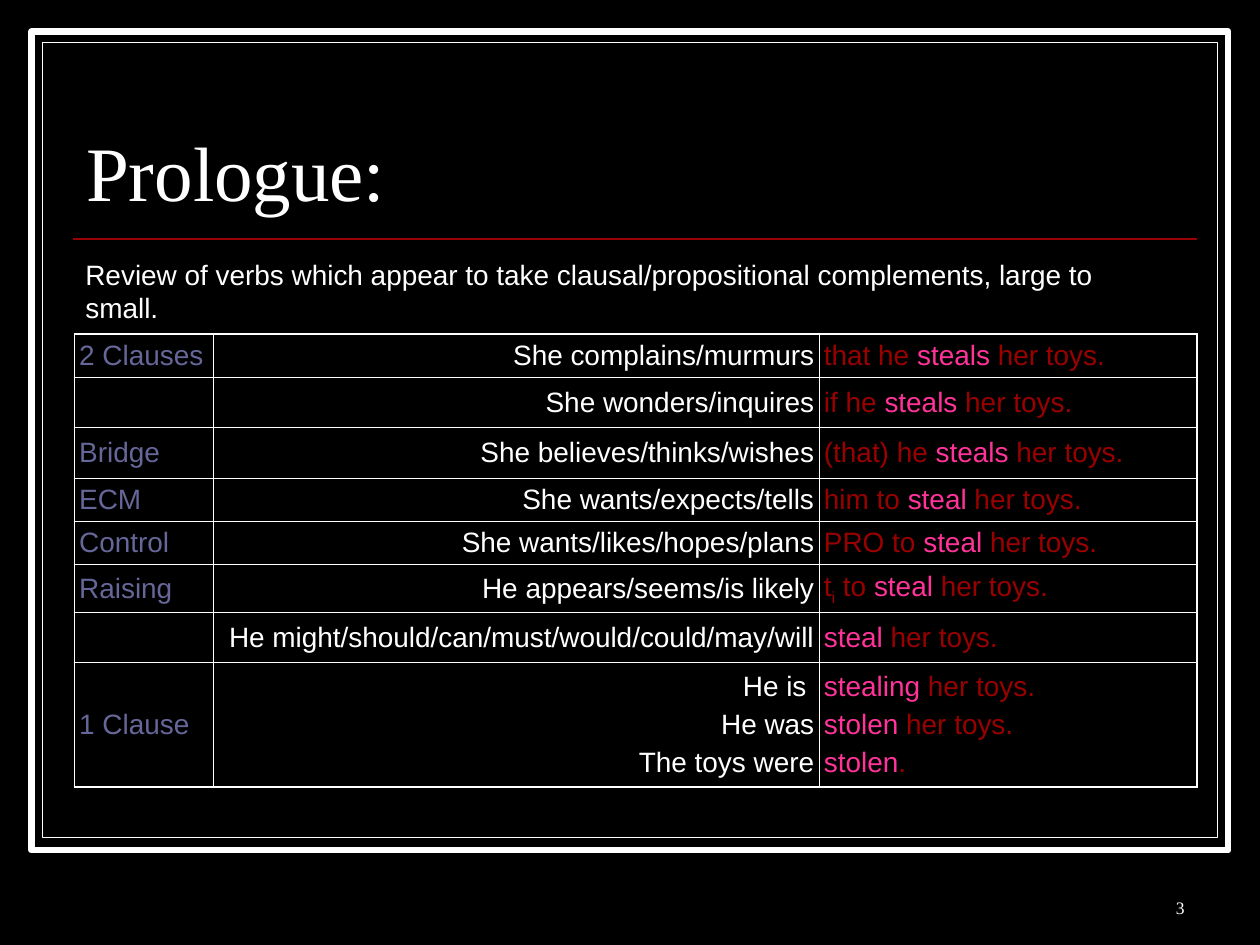
from lxml.etree import SubElement
from pptx import Presentation
from pptx.dml.color import RGBColor
from pptx.enum.shapes import MSO_CONNECTOR, MSO_SHAPE
from pptx.enum.text import MSO_ANCHOR, MSO_AUTO_SIZE, PP_ALIGN
from pptx.oxml.ns import qn
from pptx.util import Pt

COLORS = {
    "ground": "000000",
    "text": "FFFFFF",
    "label": "666699",
    "clause": "990000",
    "verb": "FF3399",
}
COLUMN_WIDTHS = [79.3, 346.3, 216]
ROW_HEIGHTS = [25, 27.5, 29, 24.5, 25, 27.5, 27.5, 71]
INNER_LINE, OUTER_LINE = 0.45, 1.08


def color(name):
    """Return the named colour."""
    return RGBColor.from_string(COLORS[name])


def style_run(run, size, font, color_name):
    """Give a run its size, typeface and colour."""
    run.font.size = Pt(size)
    run.font.name = font
    run.font.color.rgb = color(color_name)


def complement(lead, verb, tail=" her toys."):
    """Return the coloured pieces of a complement with its verb marked."""
    pieces = [(lead, "clause"), (verb, "verb"), (tail, "clause")]
    return [piece for piece in pieces if piece[0]]


def add_frame(slide, left, top, width, height, weight):
    """Add one rectangle of the double frame."""
    frame = slide.shapes.add_shape(
        MSO_SHAPE.RECTANGLE, Pt(left), Pt(top), Pt(width), Pt(height))
    frame.shadow.inherit = False
    frame.fill.solid()
    frame.fill.fore_color.rgb = color("ground")
    frame.line.color.rgb = color("text")
    frame.line.width = Pt(weight)


def add_rule(slide, left, right, top):
    """Add the red rule under the title."""
    rule = slide.shapes.add_connector(
        MSO_CONNECTOR.STRAIGHT, Pt(left), Pt(top), Pt(right), Pt(top))
    rule.line.color.rgb = color("clause")
    rule.line.width = Pt(1)
    SubElement(rule.element.spPr, qn("a:effectLst"))


def set_title(slide, text):
    """Place and format the title, in front of the frame."""
    title = slide.shapes.title
    slide.shapes.element.append(title.element)
    title.left, title.top, title.width, title.height = (
        Pt(42), Pt(37.5), Pt(642), Pt(90))
    frame = title.text_frame
    frame.text = text
    frame.auto_size = MSO_AUTO_SIZE.NONE
    frame.vertical_anchor = MSO_ANCHOR.BOTTOM
    heading = frame.paragraphs[0]
    heading.alignment = PP_ALIGN.LEFT
    heading.line_spacing = 0.8
    style_run(heading.runs[0], 44, "Times New Roman", "text")


def add_text(slide, text, box, size, font, align, anchor, wrap):
    """Add a one-line text box."""
    frame = slide.shapes.add_textbox(*map(Pt, box)).text_frame
    frame.text = text
    frame.word_wrap = wrap
    frame.vertical_anchor = anchor
    frame.paragraphs[0].alignment = align
    style_run(frame.paragraphs[0].runs[0], size, font, "text")


def set_borders(cell, weights):
    """Draw the left, right, top and bottom borders of a cell."""
    properties = cell._tc.get_or_add_tcPr()
    for position, (side, weight) in enumerate(zip("LRTB", weights)):
        border = properties.makeelement(
            qn(f"a:ln{side}"), {"w": str(int(Pt(weight)))})
        fill = SubElement(border, qn("a:solidFill"))
        SubElement(fill, qn("a:srgbClr"), val=COLORS["text"])
        properties.insert(position, border)


def fill_cell(cell, lines, align):
    """Write lines of coloured pieces into a cell."""
    cell.fill.background()
    cell.vertical_anchor = MSO_ANCHOR.MIDDLE
    cell.margin_left = cell.margin_right = Pt(2.8)
    cell.margin_top = cell.margin_bottom = Pt(3.3)
    for index, pieces in enumerate(lines):
        frame = cell.text_frame
        line = frame.add_paragraph() if index else frame.paragraphs[0]
        line.alignment = align
        line.space_before = Pt(4)
        for text, color_name, *baseline in pieces:
            run = line.add_run()
            run.text = text
            style_run(run, 16, "Arial", color_name)
            if baseline:
                run._r.get_or_add_rPr().set("baseline", str(baseline[0]))


def add_verb_table(slide, rows):
    """Add the table of verb classes, subjects and complements."""
    table = slide.shapes.add_table(
        len(rows), len(COLUMN_WIDTHS), Pt(42.5), Pt(190.7),
        Pt(sum(COLUMN_WIDTHS)), Pt(sum(ROW_HEIGHTS))).table
    table.first_row = table.horz_banding = False
    for column, width in zip(table.columns, COLUMN_WIDTHS):
        column.width = Pt(width)
    for row, height in zip(table.rows, ROW_HEIGHTS):
        row.height = Pt(height)
    last_row, last_column = len(rows) - 1, len(COLUMN_WIDTHS) - 1
    for r, (label, subjects, complements) in enumerate(rows):
        contents = [
            ([[(label, "label")]] if label else [], PP_ALIGN.LEFT),
            ([[(subject, "text")] for subject in subjects], PP_ALIGN.RIGHT),
            (complements, PP_ALIGN.LEFT),
        ]
        for c, (lines, align) in enumerate(contents):
            cell = table.cell(r, c)
            fill_cell(cell, lines, align)
            edges = [c == 0, c == last_column, r == 0, r == last_row]
            set_borders(
                cell, [OUTER_LINE if edge else INNER_LINE for edge in edges])


def main():
    """Build the slide and save it."""
    deck = Presentation()
    deck.slide_width, deck.slide_height = Pt(720), Pt(540)
    slide = deck.slides.add_slide(deck.slide_layouts[5])
    slide.background.fill.solid()
    slide.background.fill.fore_color.rgb = color("ground")

    add_frame(slide, 18, 18, 684, 468, 3.5)
    add_frame(slide, 24.2, 24.2, 671.6, 454.4, 0.75)
    add_rule(slide, 42, 684, 136.5)
    set_title(slide, "Prologue:")

    raising = [("t", "clause"), ("i", "clause", -25000)]
    add_verb_table(slide, [
        ("2 Clauses", ["She complains/murmurs"],
         [complement("that he ", "steals")]),
        ("", ["She wonders/inquires"], [complement("if he ", "steals")]),
        ("Bridge", ["She believes/thinks/wishes"],
         [complement("(that) he ", "steals")]),
        ("ECM", ["She wants/expects/tells"], [complement("him to ", "steal")]),
        ("Control", ["She wants/likes/hopes/plans"],
         [complement("PRO to ", "steal")]),
        ("Raising", ["He appears/seems/is likely"],
         [raising + complement(" to ", "steal")]),
        ("", ["He might/should/can/must/would/could/may/will"],
         [complement("", "steal")]),
        ("1 Clause", ["He is ", "He was", "The toys were"],
         [complement("", "stealing"), complement("", "stolen"),
          complement("", "stolen", ".")]),
    ])
    add_text(
        slide, "Review of verbs which appear to take clausal/propositional "
        "complements, large to small.", (41.7, 143.5, 635.5, 26.6),
        16, "Arial", PP_ALIGN.LEFT, MSO_ANCHOR.TOP, False)
    add_text(slide, "3", (534, 492, 150, 36), 10, "Times New Roman",
             PP_ALIGN.RIGHT, MSO_ANCHOR.BOTTOM, True)
    deck.save("out.pptx")


if __name__ == "__main__":
    main()
